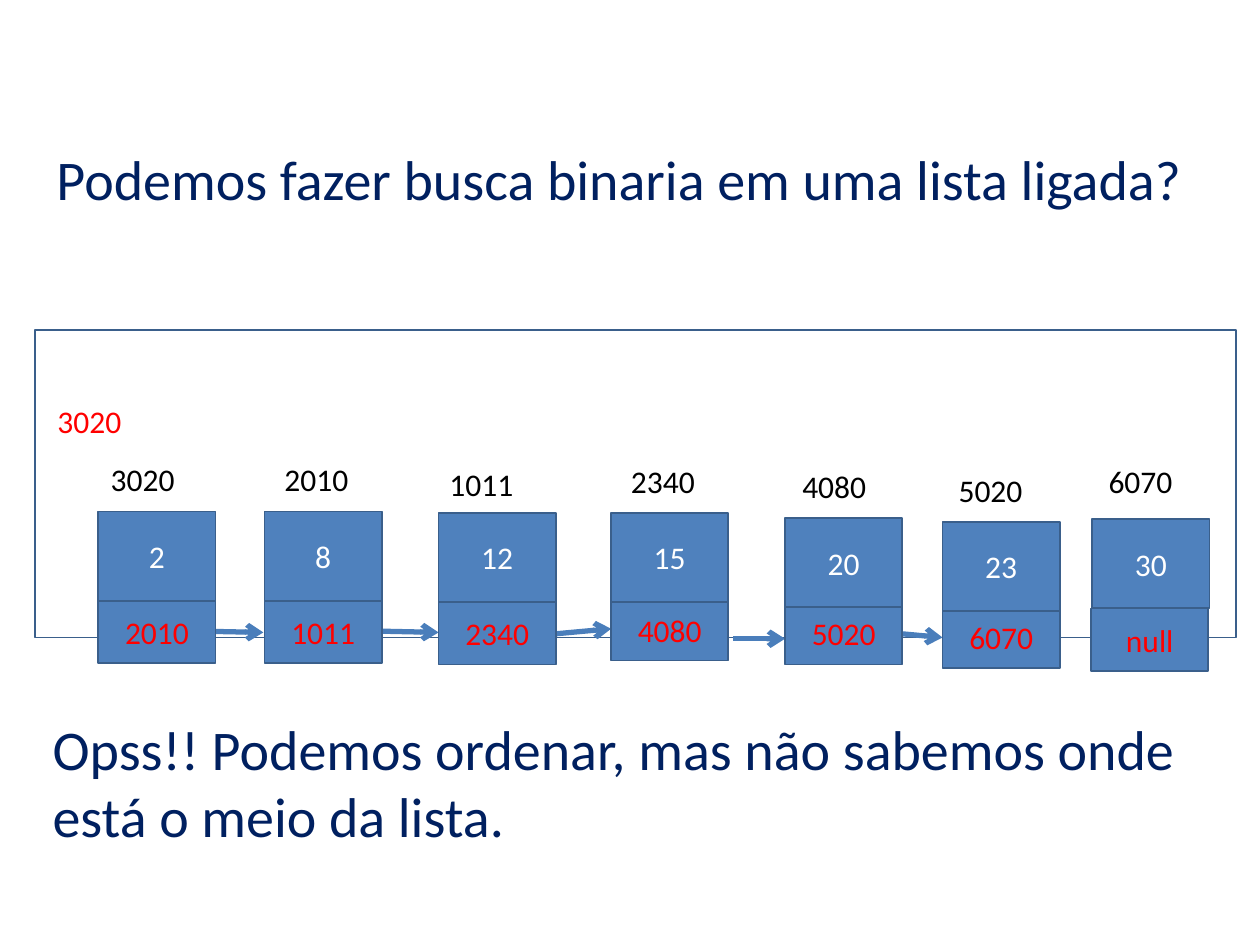
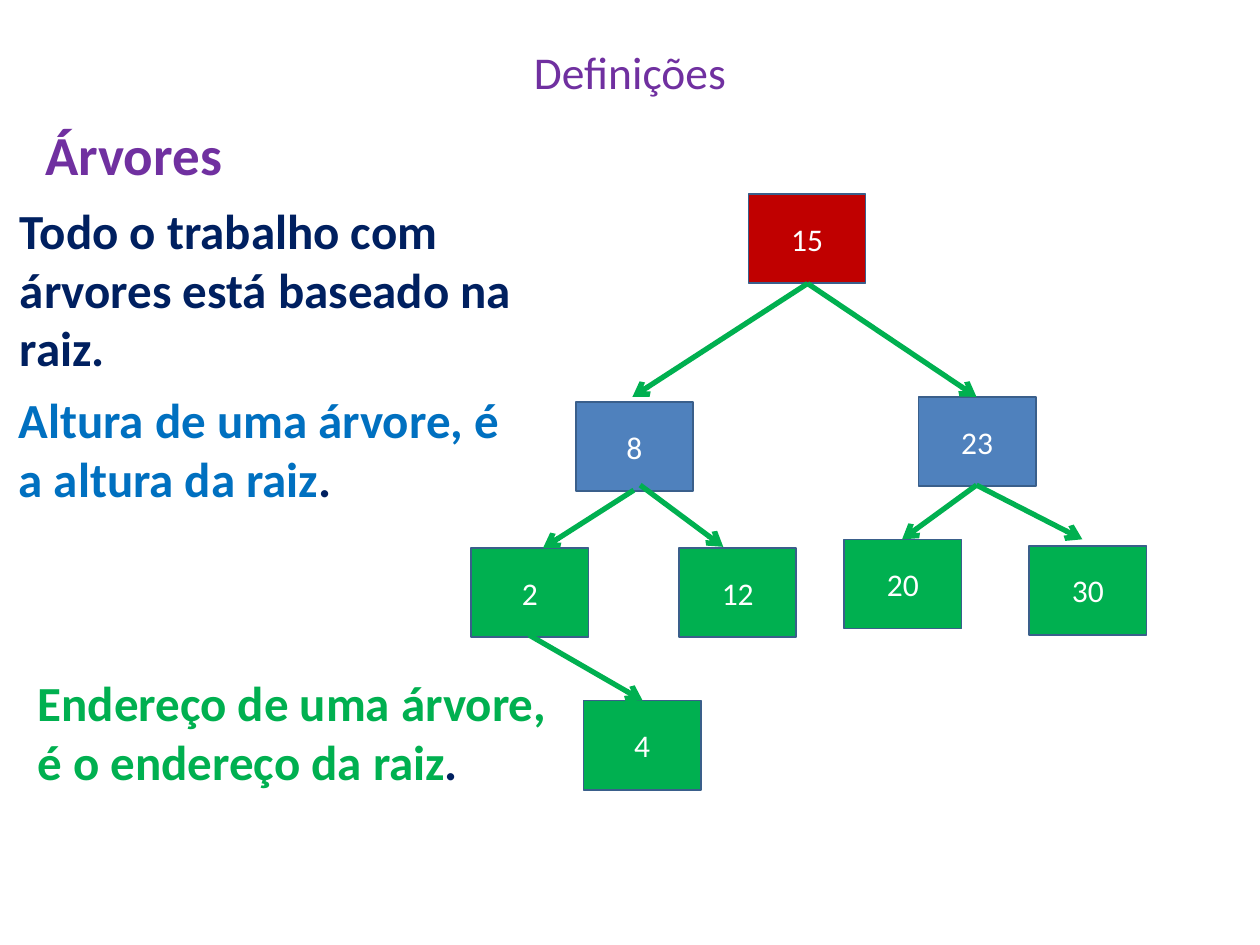
from lxml import etree
from pptx import Presentation
from pptx.dml.color import RGBColor
from pptx.enum.shapes import MSO_CONNECTOR, MSO_SHAPE
from pptx.enum.text import MSO_ANCHOR, PP_ALIGN
from pptx.oxml.ns import qn
from pptx.util import Pt

RECTANGLE = MSO_SHAPE.RECTANGLE
STRAIGHT = MSO_CONNECTOR.STRAIGHT
LEFT, CENTER = PP_ALIGN.LEFT, PP_ALIGN.CENTER
TOP, MIDDLE = MSO_ANCHOR.TOP, MSO_ANCHOR.MIDDLE

WHITE = RGBColor(0xFF, 0xFF, 0xFF)
BLACK = RGBColor(0x00, 0x00, 0x00)
RED = RGBColor(0xFF, 0x00, 0x00)
DARK_RED = RGBColor(0xC0, 0x00, 0x00)
BLUE = RGBColor(0x4F, 0x81, 0xBD)
OUTLINE = RGBColor(0x3A, 0x5F, 0x8B)
ARROW_BLUE = RGBColor(0x4A, 0x7E, 0xBB)
SKY = RGBColor(0x00, 0x70, 0xC0)
NAVY = RGBColor(0x00, 0x20, 0x60)
PURPLE = RGBColor(0x70, 0x30, 0xA0)
GREEN = RGBColor(0x00, 0xB0, 0x50)

FONT = "Calibri"
NODE_WIDTH, NODE_HEIGHT, POINTER_HEIGHT = 67, 51, 35.5

LIST_NODES = [
    ("2", "2010", 56.2, 292.3, 56.2, 343.4),
    ("8", "1011", 151.2, 292.3, 151.2, 343.4),
    ("12", "2340", 250.6, 293, 250.6, 344.2),
    ("15", "4080", 349.2, 293, 349.2, 342),
    ("20", "5020", 448.6, 295.9, 448.6, 344.2),
    ("23", "6070", 538.6, 298.1, 538.6, 346.3),
    ("30", "null", 624.2, 296.6, 623.5, 347.8),
]
ADDRESSES = [
    ("3020", 56.2, 259.2), ("2010", 155.5, 259.2), ("1011", 249.8, 262.1),
    ("2340", 353.5, 260.6), ("4080", 451.4, 263.5), ("5020", 540.7, 265.7),
    ("6070", 626.4, 260.6),
]
LIST_ARROWS = [
    (115.2, 360.7, 150.5, 361.4), (218.2, 360.7, 250.6, 361.4),
    (317.5, 362.2, 349.2, 359.3), (419, 365, 448.6, 365),
    (515.5, 362.2, 538.6, 364.3),
]
TREE_NODES = [
    ("15", 427.7, 110.9, DARK_RED),
    ("8", 329, 229.7, BLUE), ("23", 524.9, 226.8, BLUE),
    ("2", 269.3, 313.2, GREEN), ("12", 388.1, 313.2, GREEN),
    ("20", 482.4, 308.2, GREEN), ("30", 588.2, 311.8, GREEN),
    ("4", 333.4, 400.3, GREEN),
]
TREE_ARROWS = [
    (461.5, 162, 361.4, 226.8), (461.5, 162, 558, 226.8),
    (558, 277.2, 618.5, 308.2), (558, 277.2, 515.5, 308.2),
    (365.8, 277.2, 413.3, 312.5), (362.2, 280.1, 310.3, 313.2),
    (302.4, 362.9, 367.2, 400.3),
]


def write(box, text, size=18, color=BLACK, bold=False, align=LEFT,
          anchor=TOP, before=0, wrap=True, ending=""):
    frame = box.text_frame
    frame.word_wrap = wrap
    frame.vertical_anchor = anchor
    para = frame.paragraphs[0]
    para.alignment = align
    para.space_before = Pt(before)
    for words, tint in ((text, color), (ending, NAVY)):
        if words:
            span = para.add_run()
            span.text = words
            span.font.name = FONT
            span.font.size = Pt(size)
            span.font.bold = bold
            span.font.color.rgb = tint


def add_label(page, text, left, top, width, height, **style):
    box = page.shapes.add_textbox(Pt(left), Pt(top), Pt(width), Pt(height))
    write(box, text, **style)


def add_box(page, left, top, width, height, fill=None, line=OUTLINE):
    box = page.shapes.add_shape(RECTANGLE, Pt(left), Pt(top), Pt(width), Pt(height))
    box.shadow.inherit = False
    if fill is None:
        box.fill.background()
    else:
        box.fill.solid()
        box.fill.fore_color.rgb = fill
    if line is None:
        box.line.fill.background()
    else:
        box.line.color.rgb = line
        box.line.width = Pt(1)
    return box


def add_node(page, text, left, top, height=NODE_HEIGHT, fill=BLUE, color=WHITE):
    box = add_box(page, left, top, NODE_WIDTH, height, fill)
    write(box, text, color=color, align=CENTER, anchor=MIDDLE)


def add_arrow(page, ends, color):
    arrow = page.shapes.add_connector(STRAIGHT, *(Pt(value) for value in ends))
    arrow.line.color.rgb = color
    arrow.line.width = Pt(3)
    etree.SubElement(arrow.line._get_or_add_ln(), qn("a:tailEnd"), type="arrow")
    etree.SubElement(arrow._element.spPr, qn("a:effectLst"))


def build_list_page(page):
    add_box(page, 20.2, 188.6, 686.2, 175.7)
    for ends in LIST_ARROWS:
        add_arrow(page, ends, ARROW_BLUE)
    for value, pointer, left, top, pointer_left, pointer_top in LIST_NODES:
        add_node(page, pointer, pointer_left, pointer_top, POINTER_HEIGHT, color=RED)
        add_node(page, value, left, top)
    for address, left, top in ADDRESSES:
        add_label(page, address, left, top, 67.7, 28.8)
    head = add_box(page, 25.9, 226.1, 50.4, 28.8, WHITE, None)
    write(head, "3020", color=RED, align=CENTER, wrap=False)
    add_label(page, "Podemos fazer busca binaria em uma lista ligada?",
              25.2, 79.2, 674.6, 45.4, size=32, color=NAVY)
    add_label(page, "Opss!! Podemos ordenar, mas não sabemos onde está o meio da lista.",
              23, 404.6, 674.6, 83.5, size=32, color=NAVY)


def build_tree_page(page):
    add_label(page, "Definições", 36, 21.6, 648, 38.9, size=26, color=PURPLE,
              align=CENTER, anchor=MIDDLE)
    add_label(page, "Árvores", 18.7, 65.5, 250.6, 45.4, size=31.4, color=PURPLE,
              bold=True, before=6.4)
    for value, left, top, fill in TREE_NODES:
        add_node(page, value, left, top, fill=fill)
    for ends in TREE_ARROWS:
        add_arrow(page, ends, GREEN)
    statement = {"size": 28, "bold": True, "before": 5.6}
    add_label(page, "Todo o trabalho com árvores está baseado na raiz.",
              4.3, 110.9, 306, 108, color=NAVY, **statement)
    add_label(page, "Altura de uma árvore, é a altura da raiz",
              3.6, 218.9, 306, 89.3, color=SKY, ending=".", **statement)
    add_label(page, "Endereço de uma árvore, é o endereço da raiz",
              14.4, 380.9, 306, 89.3, color=GREEN, ending=".", **statement)


def main():
    deck = Presentation()
    deck.slide_width, deck.slide_height = Pt(720), Pt(540)
    blank = deck.slide_layouts[6]
    for build in (build_list_page, build_tree_page):
        build(deck.slides.add_slide(blank))
    deck.save("out.pptx")


main()
